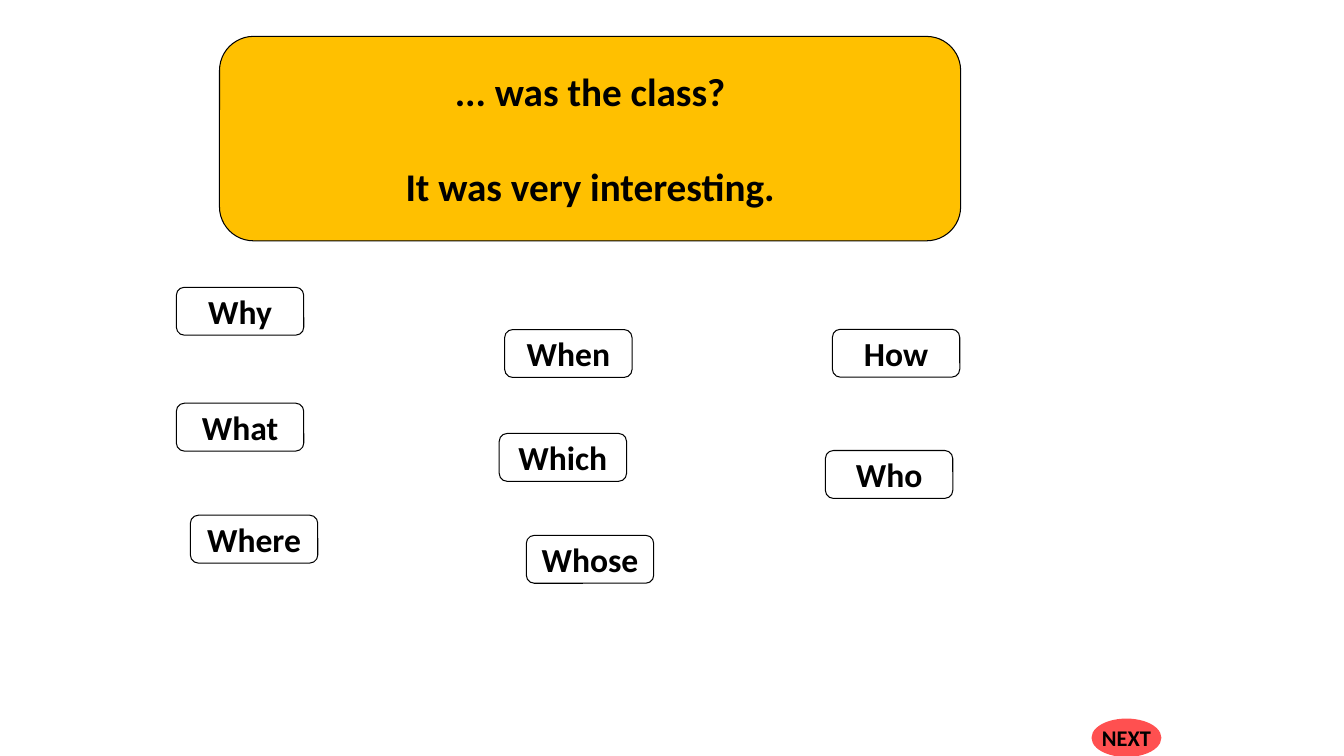
from pptx import Presentation
from pptx.dml.color import RGBColor
from pptx.enum.shapes import MSO_SHAPE
from pptx.enum.text import MSO_ANCHOR, PP_ALIGN
from pptx.util import Pt

ROUNDED, OVAL = MSO_SHAPE.ROUNDED_RECTANGLE, MSO_SHAPE.OVAL
MIDDLE, CENTER = MSO_ANCHOR.MIDDLE, PP_ALIGN.CENTER

THEME = {
    "font": "Calibri",
    "text": RGBColor(0, 0, 0),
    "question": RGBColor(0xFF, 0xC0, 0x00),
    "answer": RGBColor(0xFF, 0xFF, 0xFF),
    "next": RGBColor(0xFF, 0x50, 0x50),
    "question_size": Pt(28),
    "answer_size": Pt(24),
    "next_size": Pt(16),
}

prs = Presentation()
prs.slide_width, prs.slide_height = Pt(960), Pt(540)
s = prs.slides.add_slide(prs.slide_layouts[6])


def add_button(kind, box, role, lines, line_color, line_width):
    sp = s.shapes.add_shape(kind, *[Pt(v) for v in box])
    sp.shadow.inherit = False
    sp.fill.solid()
    sp.fill.fore_color.rgb = THEME[role]
    sp.line.color.rgb = line_color
    sp.line.width = Pt(line_width)
    tf = sp.text_frame
    tf.word_wrap = False
    tf.vertical_anchor = MIDDLE
    for i, line in enumerate(lines):
        p = tf.add_paragraph() if i else tf.paragraphs[0]
        p.alignment = CENTER
        if i:
            p.space_before = Pt(34)
        r = p.add_run()
        r.text = line
        r.font.name = THEME["font"]
        r.font.size = THEME[role + "_size"]
        r.font.bold = True
        r.font.color.rgb = THEME["text"]


add_button(ROUNDED, (156.8, 26, 529.4, 146), "question",
           ["... was the class?", "It was very interesting."], THEME["text"], 0.75)

answers = [
    ("Why", 126, 205.2), ("What", 126, 288), ("Where", 136, 368),
    ("When", 360.5, 235.4), ("Which", 356.6, 309.6), ("Whose", 376, 382.4),
    ("How", 594.6, 235.2), ("Who", 589.6, 321.8),
]
for word, left, top in answers:
    add_button(ROUNDED, (left, top, 91, 34.2), "answer", [word], THEME["text"], 0.75)

add_button(OVAL, (780.4, 514, 48.4, 26), "next", ["NEXT"], THEME["next"], 1.5)

prs.save("out.pptx")
